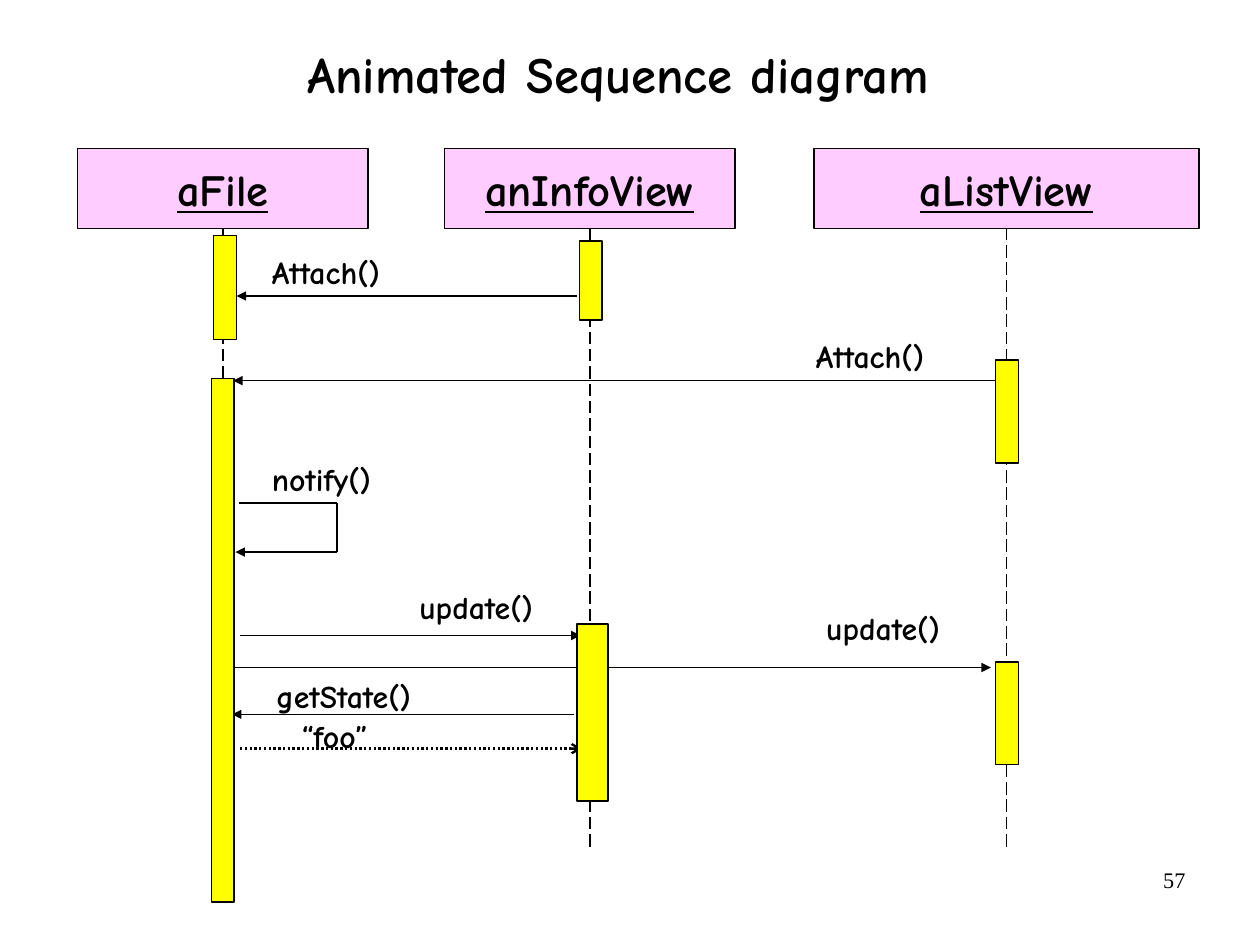
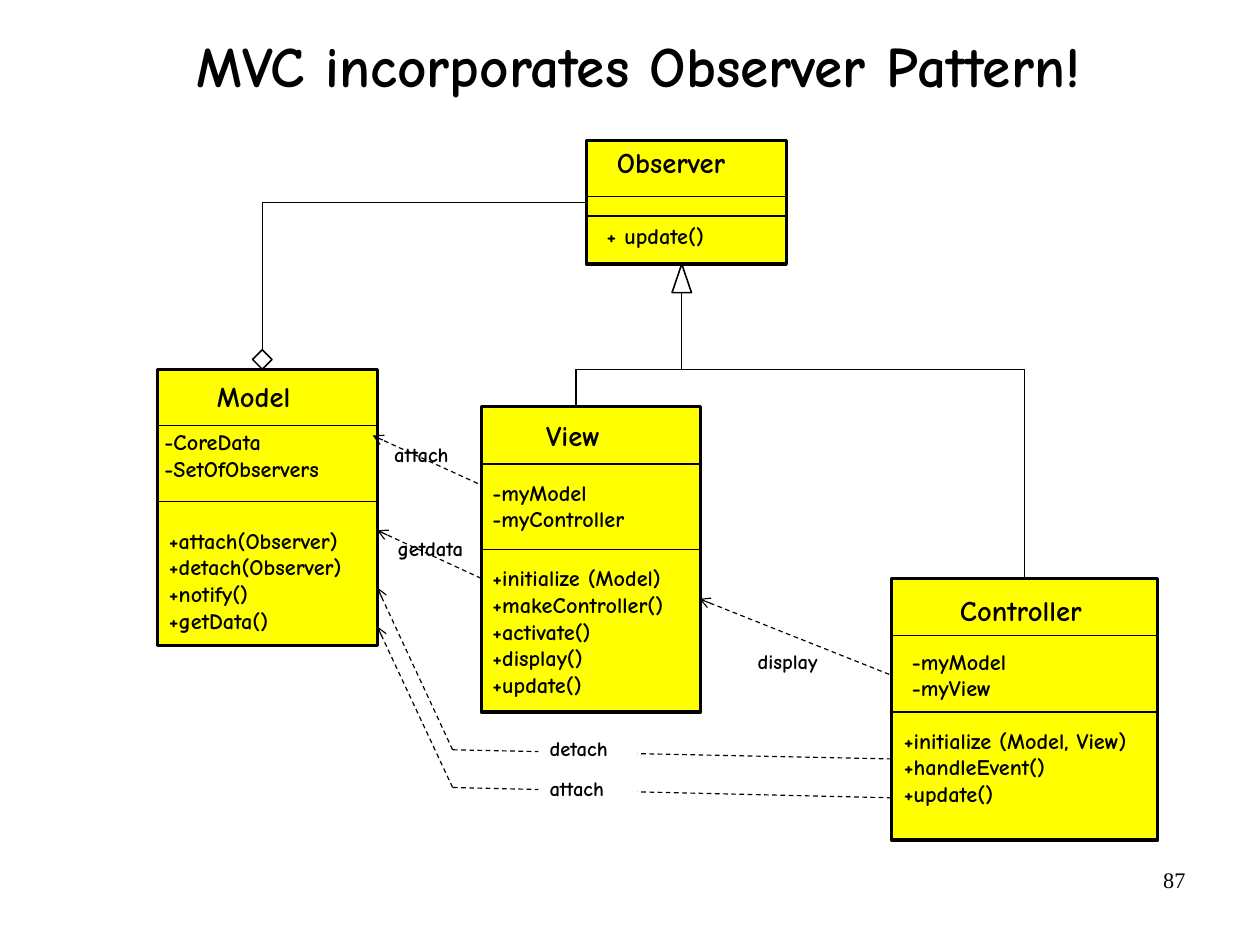
"""Build two slides on the Observer pattern: a sequence and a class diagram."""
from itertools import pairwise

from lxml import etree
from pptx import Presentation
from pptx import util as u
from pptx.dml.color import RGBColor
from pptx.enum import dml, shapes, text
from pptx.oxml.ns import qn


class Theme:
    ink = RGBColor(0, 0, 0)
    paper = RGBColor(255, 255, 255)
    pink = RGBColor(255, 204, 255)
    gold = RGBColor(255, 255, 0)
    face = "Comic Neue"
    plain = "Times New Roman"
    head = 28
    call = 20
    name = 18
    body = 14
    note = 13
    page = 14
    thin = 0.75
    line = 1
    thick = 2


RECT = shapes.MSO_SHAPE.RECTANGLE
LEFT, MID, RIGHT = text.PP_ALIGN.LEFT, text.PP_ALIGN.CENTER, text.PP_ALIGN.RIGHT
LONG, DASH, DOT = dml.MSO_LINE.LONG_DASH, dml.MSO_LINE.DASH, dml.MSO_LINE.ROUND_DOT


def put(slide, box, rows=(), size=Theme.body, align=LEFT, kind=None, fill=None,
        width=0, middle=False, face=Theme.face, under=False, space=1):
    """Add a text box, or a preset shape when a kind is given."""
    spot = [u.Inches(v) for v in box]
    if kind is None:
        item = slide.shapes.add_textbox(*spot)
    else:
        item = slide.shapes.add_shape(kind, *spot)
        item.shadow.inherit = False
        if fill is None:
            item.fill.background()
        else:
            item.fill.solid()
            item.fill.fore_color.rgb = fill
        if width:
            item.line.color.rgb = Theme.ink
            item.line.width = u.Pt(width)
        else:
            item.line.fill.background()
    frame = item.text_frame
    frame.word_wrap = True
    frame.vertical_anchor = text.MSO_ANCHOR.MIDDLE if middle else text.MSO_ANCHOR.TOP
    for i, row in enumerate(rows):
        para = frame.add_paragraph() if i else frame.paragraphs[0]
        para.text = row
        para.alignment = align
        para.line_spacing = space
        font = para.font
        font.name, font.size = face, u.Pt(size)
        font.bold = face == Theme.face
        font.underline = under
        font.color.rgb = Theme.ink


def link(slide, points, width=Theme.line, dash=None, tip=None):
    """Join the points with straight lines, with a tip on the last one."""
    for start, end in pairwise(points):
        line = slide.shapes.add_connector(
            shapes.MSO_CONNECTOR.STRAIGHT, *(u.Inches(v) for v in (*start, *end)))
        line.line.color.rgb = Theme.ink
        line.line.width = u.Pt(width)
        if dash:
            line.line.dash_style = dash
        if tip and end == points[-1]:
            etree.SubElement(line.get_or_add_ln(), qn("a:tailEnd"), type=tip)
        etree.SubElement(line._element.spPr, qn("a:effectLst"))


deck = Presentation()
deck.slide_width = u.Inches(28 / 2.54)
deck.slide_height = u.Inches(21 / 2.54)
pages = []
for title, box, size, page in (
    ("Animated Sequence diagram", (0.71, -0.01, 9.4, 1.37), 32, "57"),
    ("MVC incorporates Observer Pattern!", (0.16, -0.08, 10.85, 1.37), 36, "87"),
):
    slide = deck.slides.add_slide(deck.slide_layouts[6])
    put(slide, box, [title], size, MID, middle=True, space=0.88)
    put(slide, (7.9, 7.53, 2.57, 0.57), [page], Theme.page, RIGHT, face=Theme.plain)
    pages.append(slide)
flow, tree = pages

for name, left, wide in (
    ("aFile", 0.68, 2.54), ("anInfoView", 3.89, 2.54), ("aListView", 7.12, 3.37),
):
    axis = left + wide / 2
    link(flow, [(axis, 1.84), (axis, 7.44)], dash=LONG)
    put(flow, (left, 1.3, wide, 0.7), [name], Theme.head, MID, RECT, Theme.pink,
        Theme.line, middle=True, under=True)

for start, end, y in (
    (5.05, 2.07, 2.59), (8.73, 2.04, 3.33), (2.1, 5.08, 5.56),
    (2.06, 8.67, 5.84), (5.02, 2.03, 6.25),
):
    link(flow, [(start, y), (end, y)], tip="triangle")
link(flow, [(2.09, 4.4), (2.95, 4.4), (2.95, 4.83), (2.06, 4.83)], tip="triangle")
link(flow, [(2.1, 6.55), (5.09, 6.55)], 1.5, DOT, "arrow")

for box in (
    (1.87, 2.06, 0.2, 0.91), (1.85, 3.31, 0.2, 4.58),
    (5.07, 2.11, 0.2, 0.69), (5.05, 5.46, 0.27, 1.55),
    (8.71, 3.15, 0.2, 0.9), (8.71, 5.79, 0.2, 0.9),
):
    put(flow, box, kind=RECT, fill=Theme.gold, width=Theme.line)

for call, x, y in (
    ("Attach()", 2.28, 2.16), ("Attach()", 7.04, 2.9), ("notify()", 2.28, 3.97),
    ("update()", 3.57, 5.09), ("update()", 7.13, 5.28),
    ("getState()", 2.32, 5.87), ("“foo”", 2.54, 6.22),
):
    put(flow, (x, y, 1.63, 0.44), [call], Theme.call)

for box, cuts, name, parts in (
    ((5.13, 1.23, 1.75, 1.08), (1.72, 1.89), ("Observer", 5.3, 1.22),
     ((5.21, 1.9, ["+ update()"]),)),
    ((1.38, 3.23, 1.92, 2.42), (3.72, 4.39), ("Model", 1.8, 3.27),
     ((1.34, 3.7, ["-CoreData", "-SetOfObservers"]),
      (1.38, 4.56, ["+attach(Observer)", "+detach(Observer)", "+notify()",
                    "+getData()"]))),
    ((4.21, 3.56, 1.92, 2.67), (4.06, 4.81), ("View", 4.68, 3.61),
     ((4.21, 4.14, ["-myModel", "-myController"]),
      (4.21, 4.89, ["+initialize (Model)", "+makeController()", "+activate()",
                    "+display()", "+update()"]))),
    ((7.8, 5.06, 2.33, 2.29), (5.56, 6.23), ("Controller", 8.3, 5.14),
     ((7.88, 5.62, ["-myModel", "-myView"]),
      (7.81, 6.31, ["+initialize (Model, View)", "+handleEvent()",
                    "+update()"]))),
):
    left, top, wide, high = box
    put(tree, box, kind=RECT, fill=Theme.gold, width=Theme.thick)
    for y in cuts:
        link(tree, [(left, y), (left + wide, y)], Theme.thin)
    label, x, y = name
    put(tree, (x, y, 1.5, 0.4), [label], Theme.name)
    for x, y, rows in parts:
        put(tree, (x, y, 2.33, 0.24 * len(rows) + 0.1), rows)

for points in (
    [(5.13, 1.77), (2.3, 1.77), (2.3, 3.06)],
    [(8.96, 5.06), (8.96, 3.23), (5.04, 3.23), (5.04, 3.56)],
    [(5.96, 2.56), (5.96, 3.23)],
):
    link(tree, points, Theme.thin)
put(tree, (2.21, 3.06, 0.17, 0.17), kind=shapes.MSO_SHAPE.DIAMOND, width=Theme.line)
put(tree, (5.88, 2.31, 0.17, 0.25), kind=shapes.MSO_SHAPE.ISOSCELES_TRIANGLE,
    width=Theme.line)

for points in (
    [(4.18, 4.23), (3.26, 3.81)],
    [(4.21, 5.06), (3.3, 4.64)],
    [(7.78, 5.9), (6.12, 5.24)],
    [(7.8, 6.64), (3.96, 6.56), (3.3, 5.14)],
    [(7.8, 6.98), (3.96, 6.89), (3.3, 5.48)],
):
    link(tree, points, Theme.thin, DASH, "arrow")

for label, x, y, kind in (
    ("attach", 3.35, 3.82, None), ("getdata", 3.38, 4.64, None),
    ("display", 6.53, 5.63, None), ("detach", 4.71, 6.39, RECT),
    ("attach", 4.71, 6.74, RECT),
):
    put(tree, (x, y, 0.87, 0.32), [label], Theme.note, kind=kind, fill=Theme.paper)

deck.save("out.pptx")
